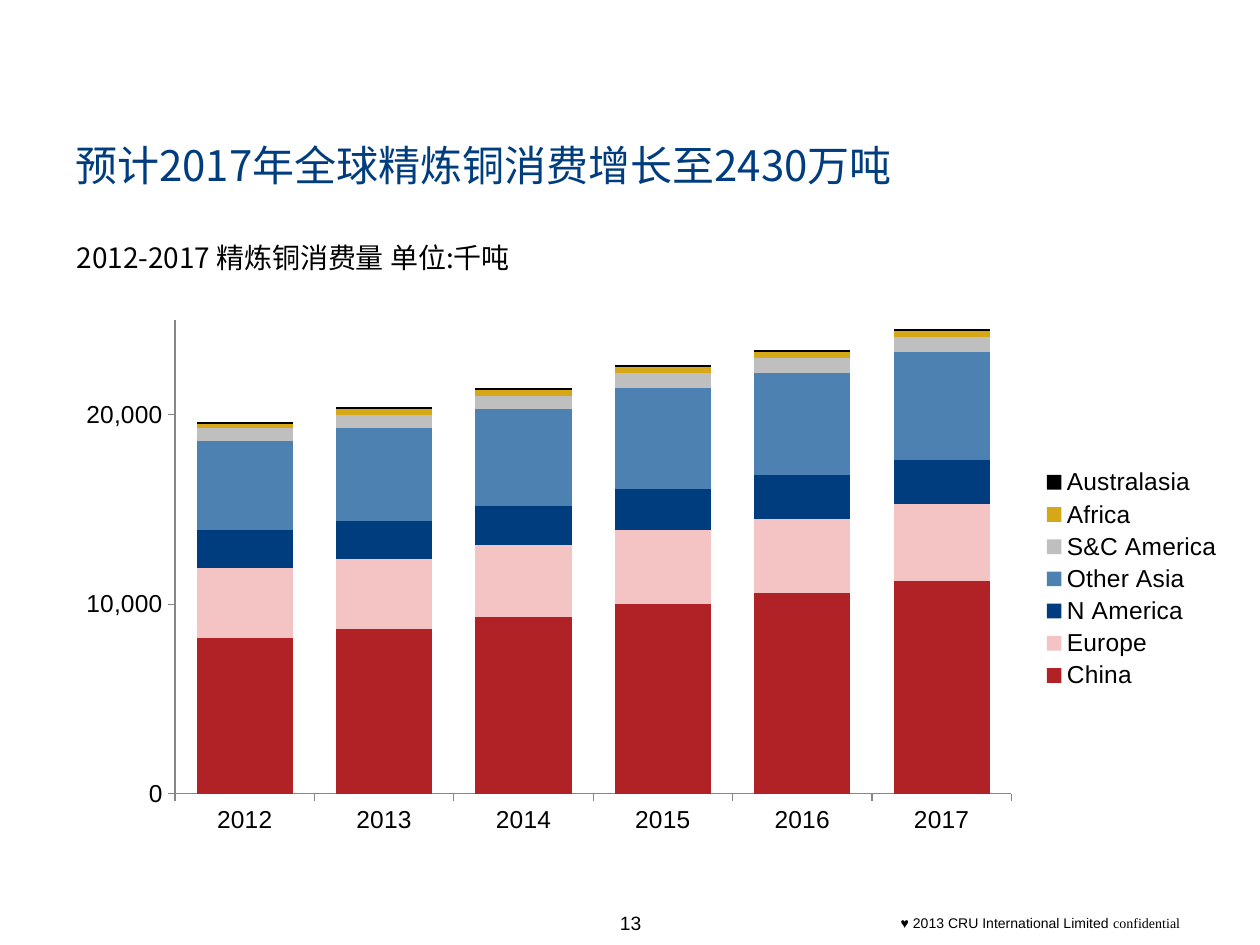
from lxml import etree
from pptx import Presentation
from pptx.chart.data import CategoryChartData
from pptx.dml.color import RGBColor
from pptx.enum.chart import XL_CHART_TYPE, XL_LEGEND_POSITION, XL_TICK_MARK
from pptx.enum.text import PP_ALIGN
from pptx.oxml.ns import qn
from pptx.util import Inches, Pt

STACKED = XL_CHART_TYPE.COLUMN_STACKED
RIGHT = XL_LEGEND_POSITION.RIGHT
OUTSIDE = XL_TICK_MARK.OUTSIDE
LEFT, CENTER = PP_ALIGN.LEFT, PP_ALIGN.CENTER
CJK = "Noto Sans CJK SC"
BLACK, NAVY, GRAY = "000000", "003D7E", "868686"

YEARS = ["2012", "2013", "2014", "2015", "2016", "2017"]
REGIONS = [
    ("China", "B02226", [8200, 8700, 9300, 10000, 10600, 11200]),
    ("Europe", "F4C4C5", [3700, 3700, 3800, 3900, 3900, 4100]),
    ("N America", NAVY, [2000, 2000, 2100, 2200, 2300, 2300]),
    ("Other Asia", "4D81B1", [4700, 4900, 5100, 5300, 5400, 5700]),
    ("S&C America", "BFBFBF", [700, 700, 700, 800, 800, 800]),
    ("Africa", "D6A716", [200, 300, 300, 300, 300, 300]),
    ("Australasia", BLACK, [100, 100, 100, 100, 100, 100]),
]


def rgb(value):
    """Turn a hex string into a colour."""
    return RGBColor.from_string(value)


def add_run(p, text, size, font, color):
    """Add a run with one font for Latin and East Asian text."""
    r = p.add_run()
    r.text = text
    r.font.size, r.font.name = Pt(size), font
    r.font.color.rgb = rgb(color)
    etree.SubElement(r.font._element, qn("a:ea"), typeface=font)


def add_text(s, box, text, size=11, font="Arial", color=BLACK, align=LEFT, wrap=True, tail=None):
    """Add a one-line text box, with an optional tail in a second font."""
    tf = s.shapes.add_textbox(*map(Inches, box)).text_frame
    tf.word_wrap = wrap
    p = tf.paragraphs[0]
    p.alignment = align
    add_run(p, text, size, font, color)
    if tail:
        add_run(p, tail[0], size, tail[1], color)


def place(element, index, x, y, w, h, inner=False):
    """Give a chart part a manual layout in fractions of the chart."""
    for old in element.findall(qn("c:layout")):
        element.remove(old)
    layout = etree.Element(qn("c:layout"))
    manual = etree.SubElement(layout, qn("c:manualLayout"))
    values = [("xMode", "edge"), ("yMode", "edge"), ("x", x), ("y", y), ("w", w), ("h", h)]
    if inner:
        values.insert(0, ("layoutTarget", "inner"))
    for tag, val in values:
        etree.SubElement(manual, qn(f"c:{tag}"), val=str(val))
    element.insert(index, layout)


def style_axis(axis):
    """Draw an axis as a thin grey line with outside ticks and no grid."""
    axis.has_major_gridlines = False
    axis.major_tick_mark = OUTSIDE
    axis.format.line.color.rgb = rgb(GRAY)
    axis.format.line.width = Pt(0.75)


def add_consumption_chart(s, box):
    """Add the stacked columns of copper consumption by region."""
    data = CategoryChartData(number_format="#,##0")
    data.categories = YEARS
    for name, _, values in REGIONS:
        data.add_series(name, values)
    chart = s.shapes.add_chart(STACKED, *map(Inches, box), data).chart
    chart.has_title = False
    chart.font.size, chart.font.name = Pt(14), "Arial"
    chart.font.color.rgb = rgb(BLACK)

    plot = chart.plots[0]
    plot.gap_width, plot.overlap = 45, 100
    for series, (_, color, _) in zip(plot.series, REGIONS):
        series.format.fill.solid()
        series.format.fill.fore_color.rgb = rgb(color)

    style_axis(chart.category_axis)
    axis = chart.value_axis
    style_axis(axis)
    axis.minimum_scale, axis.maximum_scale, axis.major_unit = 0, 25000, 10000
    axis.tick_labels.number_format = "#,##0"
    axis.tick_labels.number_format_is_linked = False

    chart.has_legend = True
    chart.legend.position = RIGHT
    chart.legend.include_in_layout = False
    place(chart.legend._element, 1, 0.83, 0.29, 0.17, 0.43)
    plot_area = chart._chartSpace.find(f".//{qn('c:plotArea')}")
    place(plot_area, 0, 0.096, 0.021, 0.716, 0.885, inner=True)


def main():
    """Build the slide and save it."""
    prs = Presentation()
    prs.slide_width, prs.slide_height = Inches(10), Inches(7.5)
    s = prs.slides.add_slide(prs.slide_layouts[6])
    add_text(s, (0.5, 1.06, 9, 0.63), "预计2017年全球精炼铜消费增长至2430万吨",
             size=24, font=CJK, color=NAVY)
    add_text(s, (0.51, 1.86, 9, 0.41), "2012-2017 精炼铜消费量 单位:千吨", size=16, font=CJK)
    add_consumption_chart(s, (0.5, 2.45, 9.27, 4.25))
    add_text(s, (4.81, 7.18, 0.39, 0.29), "13", align=CENTER, wrap=False)
    add_text(s, (7.05, 7.21, 2.95, 0.24), "♥ 2013 CRU International Limited ",
             size=8, tail=("confidential", "Times New Roman"))
    prs.save("out.pptx")


if __name__ == "__main__":
    main()
